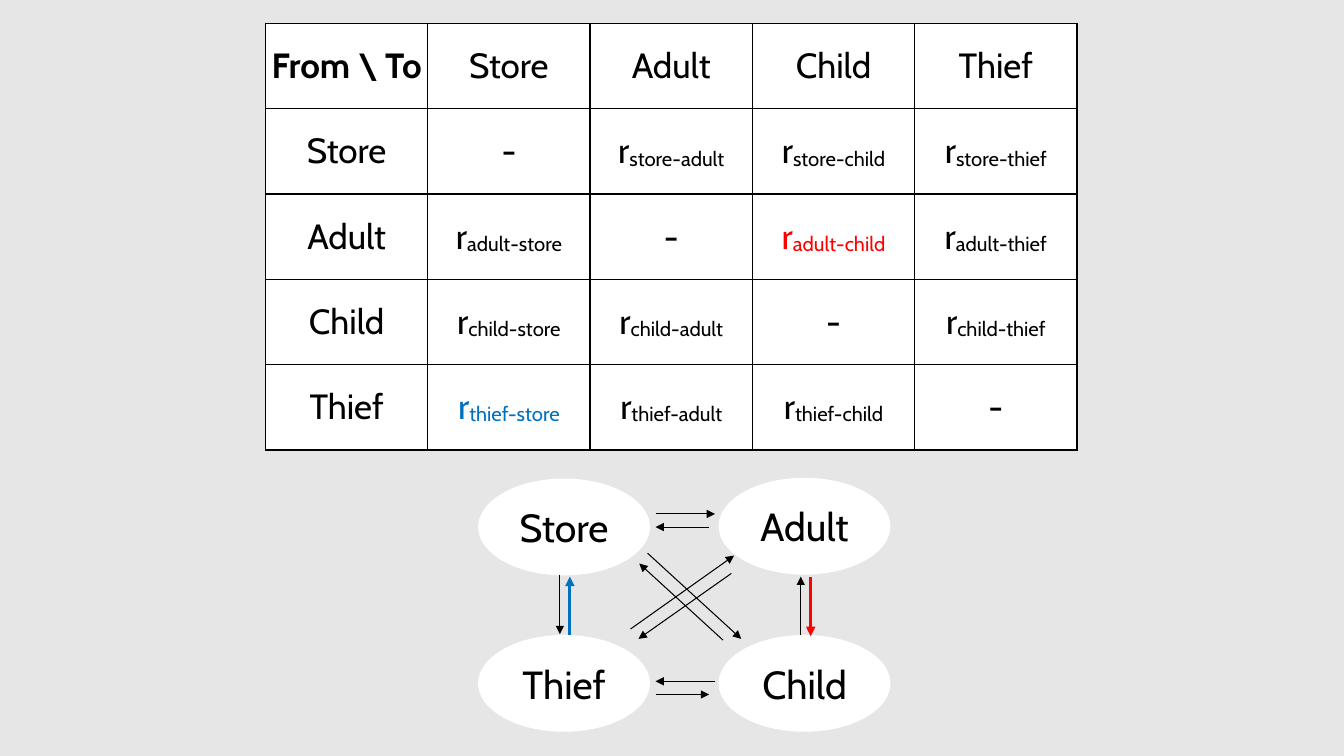
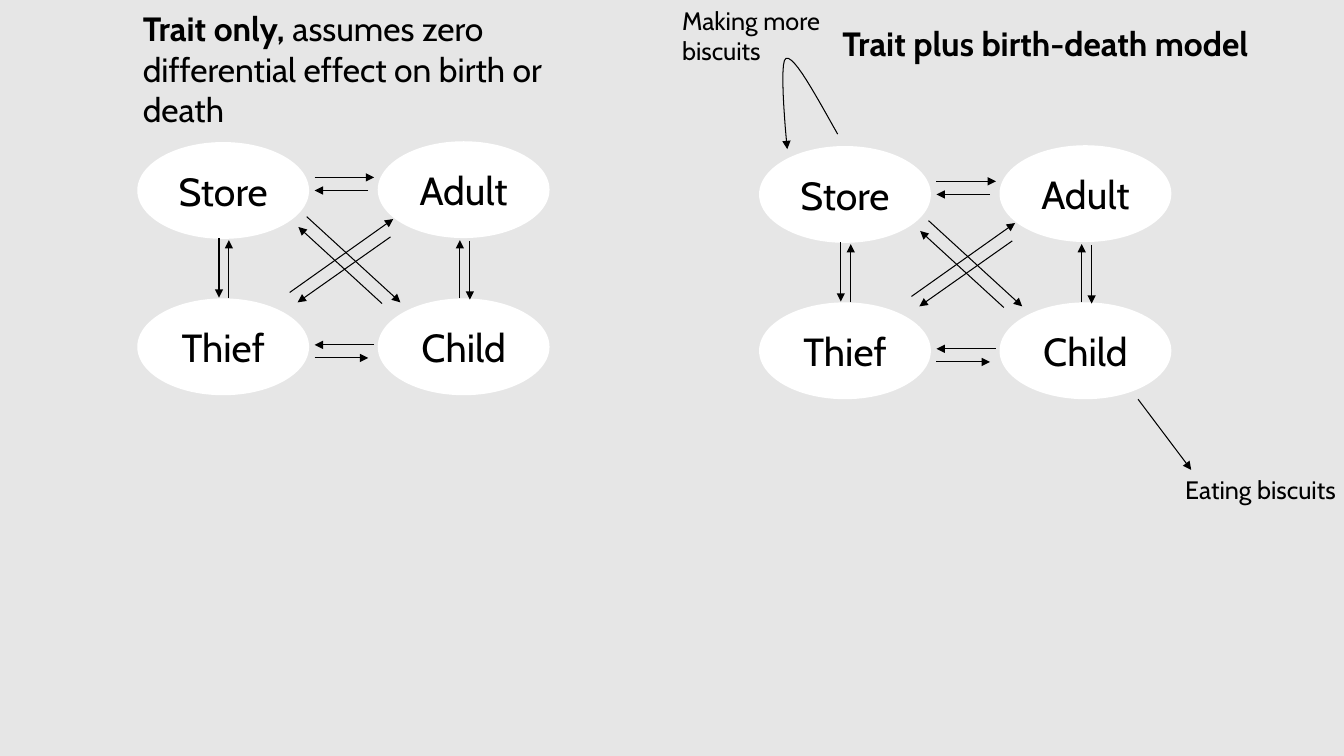
"""Build two slides on transition rates between four states."""
from dataclasses import dataclass

from lxml.etree import SubElement
from pptx import Presentation
from pptx.dml.color import RGBColor as RGB
from pptx.enum.shapes import MSO_CONNECTOR as CONN, MSO_SHAPE as SHAPE
from pptx.enum.text import MSO_ANCHOR as ANCHOR, PP_ALIGN as ALIGN
from pptx.oxml.ns import qn
from pptx.slide import Slide
from pptx.util import Cm, Pt

COLORS = {"back": "E6E6E6", "white": "FFFFFF", "black": "000000",
          "red": "FF0000", "blue": "0070C0"}
FONT = "Cabin"
STATES = ("Store", "Adult", "Child", "Thief")
HIGHLIGHTS = {("Adult", "Child"): "red", ("Thief", "Store"): "blue"}
NODE_W, NODE_H = 4.33, 2.44
COL_STEP, ROW_STEP = 6.06, 3.96


@dataclass(frozen=True)
class Node:
    name: str
    x: float
    y: float


@dataclass(frozen=True)
class Arrow:
    start: str
    end: str
    x1: float
    y1: float
    x2: float
    y2: float


@dataclass(frozen=True)
class Run:
    text: str
    bold: bool = False


@dataclass(frozen=True)
class Label:
    x: float
    y: float
    w: float
    h: float
    size: float
    runs: tuple[Run, ...]


NODES = (
    Node("Store", 0, 0.02),
    Node("Adult", COL_STEP, 0),
    Node("Child", COL_STEP, ROW_STEP),
    Node("Thief", 0, ROW_STEP),
)
ARROWS = (
    Arrow("Store", "Adult", 4.47, 0.91, 5.97, 0.91),
    Arrow("Adult", "Store", 5.82, 1.24, 4.47, 1.24),
    Arrow("Adult", "Child", 8.38, 2.51, 8.38, 3.99),
    Arrow("Child", "Adult", 8.13, 3.96, 8.13, 2.49),
    Arrow("Child", "Thief", 5.97, 5.13, 4.47, 5.13),
    Arrow("Thief", "Child", 4.47, 5.46, 5.82, 5.46),
    Arrow("Thief", "Store", 2.31, 3.96, 2.31, 2.49),
    Arrow("Store", "Thief", 2.06, 2.44, 2.06, 3.94),
    Arrow("Store", "Child", 4.27, 1.9, 6.63, 4.06),
    Arrow("Child", "Store", 6.17, 4.09, 4.06, 2.16),
    Arrow("Thief", "Adult", 3.84, 3.81, 6.45, 1.96),
    Arrow("Adult", "Thief", 6.38, 2.41, 4.04, 4.06),
)
LABELS = (
    Label(16.94, 0, 4.17, 1.8, 18, (Run("Making more biscuits"),)),
    Label(29.62, 11.84, 4.75, 1.02, 18, (Run("Eating biscuits"),)),
    Label(3.35, 0.08, 10.82, 3.33, 24, (
        Run("Trait only, ", True),
        Run("assumes zero differential effect on birth or death"))),
    Label(20.98, 0.46, 11.99, 1.27, 24,
          (Run("Trait plus birth-death model", True),)),
)
BIRTH_CURVES = (
    ((21.11, 3.38), (20.55, 2.39), (20.02, 1.4), (19.81, 1.47)),
    ((19.81, 1.47), (19.61, 1.52), (19.84, 3.76), (19.84, 3.76)),
)


def rgb(color: str) -> RGB:
    return RGB.from_string(COLORS[color])


def add_run(p, text: str, size: float, color: str = "black",
            bold: bool = False, baseline: int = 0) -> None:
    r = p.add_run()
    r.text = text
    r.font.name, r.font.size, r.font.bold = FONT, Pt(size), bold
    r.font.color.rgb = rgb(color)
    if baseline:
        r.font._element.set("baseline", str(baseline))


def style_line(sp, color: str, width: float) -> None:
    sp.line.color.rgb = rgb(color)
    sp.line.width = Pt(width)
    SubElement(sp.line._get_or_add_ln(), qn("a:tailEnd"), type="triangle")


def add_arrow(s: Slide, x1: float, y1: float, x2: float, y2: float,
              color: str = "black", width: float = 0.75) -> None:
    line = s.shapes.add_connector(CONN.STRAIGHT, Cm(x1), Cm(y1), Cm(x2), Cm(y2))
    style_line(line, color, width)
    SubElement(line._element.spPr, qn("a:effectLst"))


def add_node(s: Slide, node: Node, x: float, y: float) -> None:
    sp = s.shapes.add_shape(SHAPE.OVAL, Cm(x + node.x), Cm(y + node.y),
                            Cm(NODE_W), Cm(NODE_H))
    sp.shadow.inherit = False
    sp.fill.solid()
    sp.fill.fore_color.rgb = rgb("white")
    sp.line.fill.background()
    tf = sp.text_frame
    tf.vertical_anchor = ANCHOR.MIDDLE
    p = tf.paragraphs[0]
    p.alignment = ALIGN.CENTER
    add_run(p, node.name, 28)


def add_diagram(s: Slide, x: float, y: float,
                highlights: dict[tuple[str, str], str]) -> None:
    for node in NODES:
        add_node(s, node, x, y)
    for a in ARROWS:
        color = highlights.get((a.start, a.end), "black")
        add_arrow(s, x + a.x1, y + a.y1, x + a.x2, y + a.y2, color,
                  0.75 if color == "black" else 2.25)


def add_label(s: Slide, label: Label) -> None:
    box = s.shapes.add_textbox(Cm(label.x), Cm(label.y), Cm(label.w), Cm(label.h))
    tf = box.text_frame
    tf.word_wrap = True
    for run in label.runs:
        add_run(tf.paragraphs[0], run.text, label.size, bold=run.bold)


def add_birth_loop(s: Slide, steps: int = 12) -> None:
    points = []
    for curve in BIRTH_CURVES:
        for i in range(1, steps + 1):
            t = i / steps
            weights = ((1 - t) ** 3, 3 * t * (1 - t) ** 2, 3 * t * t * (1 - t), t ** 3)
            points.append(tuple(Cm(sum(w * pt[axis] for w, pt in zip(weights, curve)))
                                for axis in (0, 1)))
    x, y = BIRTH_CURVES[0][0]
    builder = s.shapes.build_freeform(Cm(x), Cm(y))
    builder.add_line_segments(points, close=False)
    sp = builder.convert_to_shape()
    sp.shadow.inherit = False
    sp.fill.background()
    style_line(sp, "black", 0.75)


def style_cell(cell) -> None:
    tc_pr = cell._tc.get_or_add_tcPr()
    for side in ("lnL", "lnR", "lnT", "lnB"):
        ln = SubElement(tc_pr, qn(f"a:{side}"), w=str(Pt(1)))
        fill = SubElement(ln, qn("a:solidFill"))
        SubElement(fill, qn("a:srgbClr"), val=COLORS["black"])
    cell.fill.solid()
    cell.fill.fore_color.rgb = rgb("white")
    cell.vertical_anchor = ANCHOR.MIDDLE
    cell.margin_left = cell.margin_right = Cm(0.1)
    cell.margin_top = cell.margin_bottom = Cm(0.1)


def add_rate_table(s: Slide) -> None:
    names = ("",) + STATES
    n = len(names)
    table = s.shapes.add_table(n, n, Cm(6.69), Cm(0.59),
                               Cm(4.09 * n), Cm(2.15 * n)).table
    table.first_row = table.horz_banding = False
    for i, start in enumerate(names):
        for j, end in enumerate(names):
            cell = table.cell(i, j)
            style_cell(cell)
            p = cell.text_frame.paragraphs[0]
            p.alignment = ALIGN.CENTER
            if i == j:
                add_run(p, "-" if i else "From \\ To", 25, bold=not i)
            elif not (start and end):
                add_run(p, start or end, 25)
            else:
                color = HIGHLIGHTS.get((start, end), "black")
                add_run(p, "r", 25, color)
                add_run(p, f"{start}-{end}".lower(), 25, color, baseline=-6000)


def main() -> None:
    prs = Presentation()
    prs.slide_width, prs.slide_height = Cm(33.87), Cm(19.05)
    back = prs.slide_master.background.fill
    back.solid()
    back.fore_color.rgb = rgb("back")
    blank = prs.slide_layouts[6]

    s = prs.slides.add_slide(blank)
    add_rate_table(s)
    add_diagram(s, 12.05, 12.04, HIGHLIGHTS)

    s = prs.slides.add_slide(blank)
    for x, y in ((19.13, 3.66), (3.46, 3.56)):
        add_diagram(s, x, y, {})
    add_birth_loop(s)
    add_arrow(s, 28.68, 10.06, 30.02, 11.84)
    for label in LABELS:
        add_label(s, label)

    prs.save("out.pptx")


if __name__ == "__main__":
    main()
